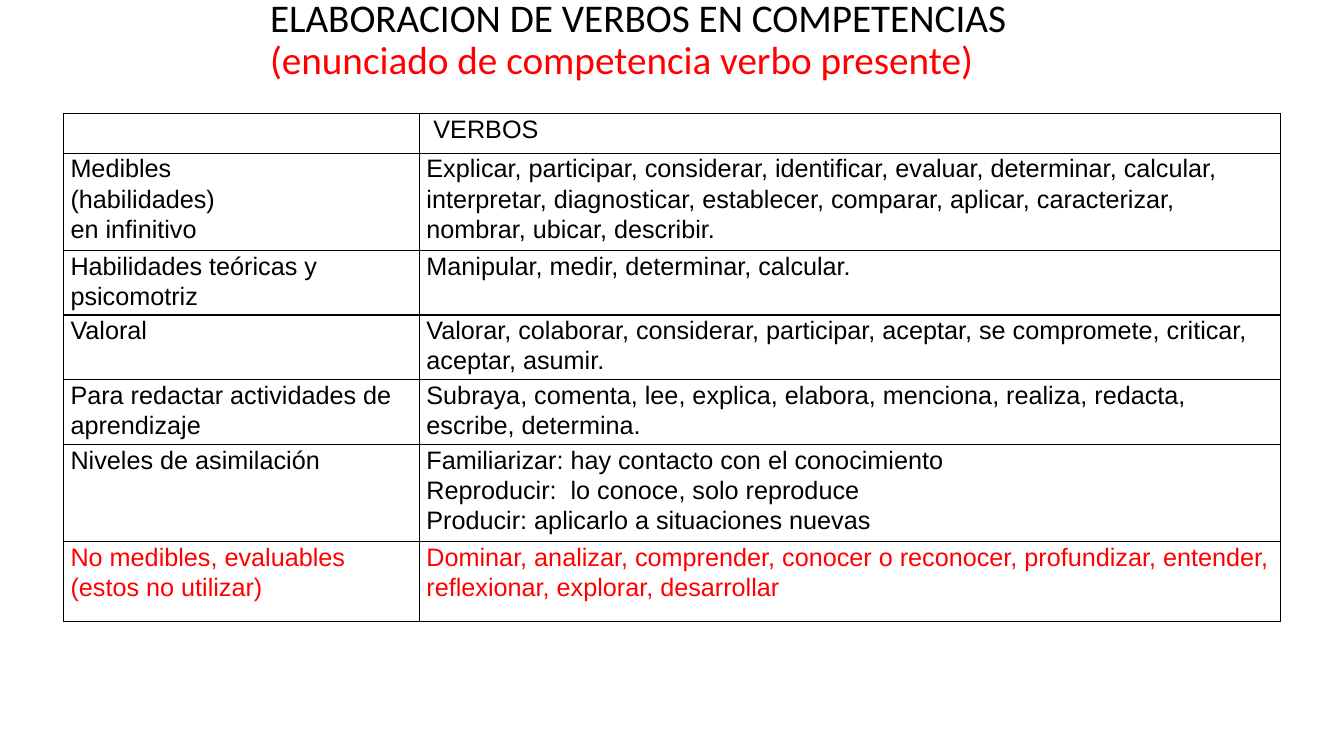
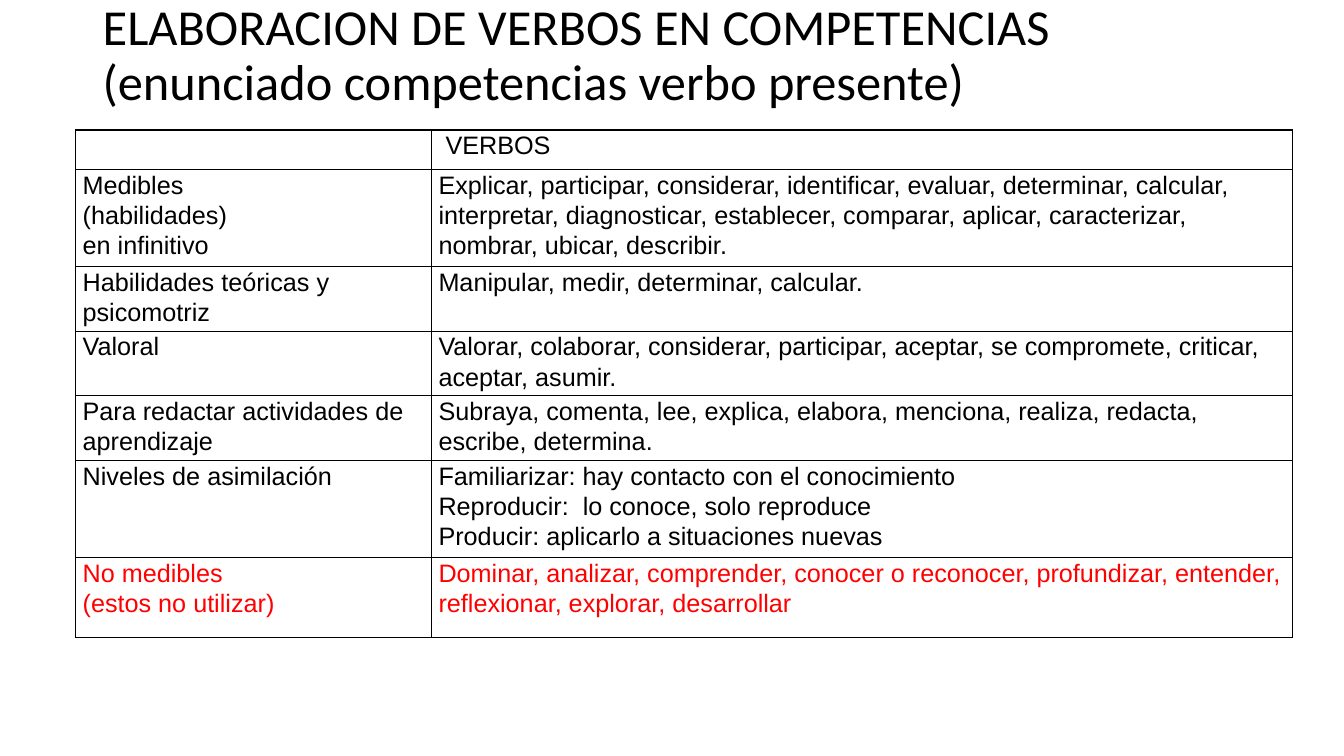
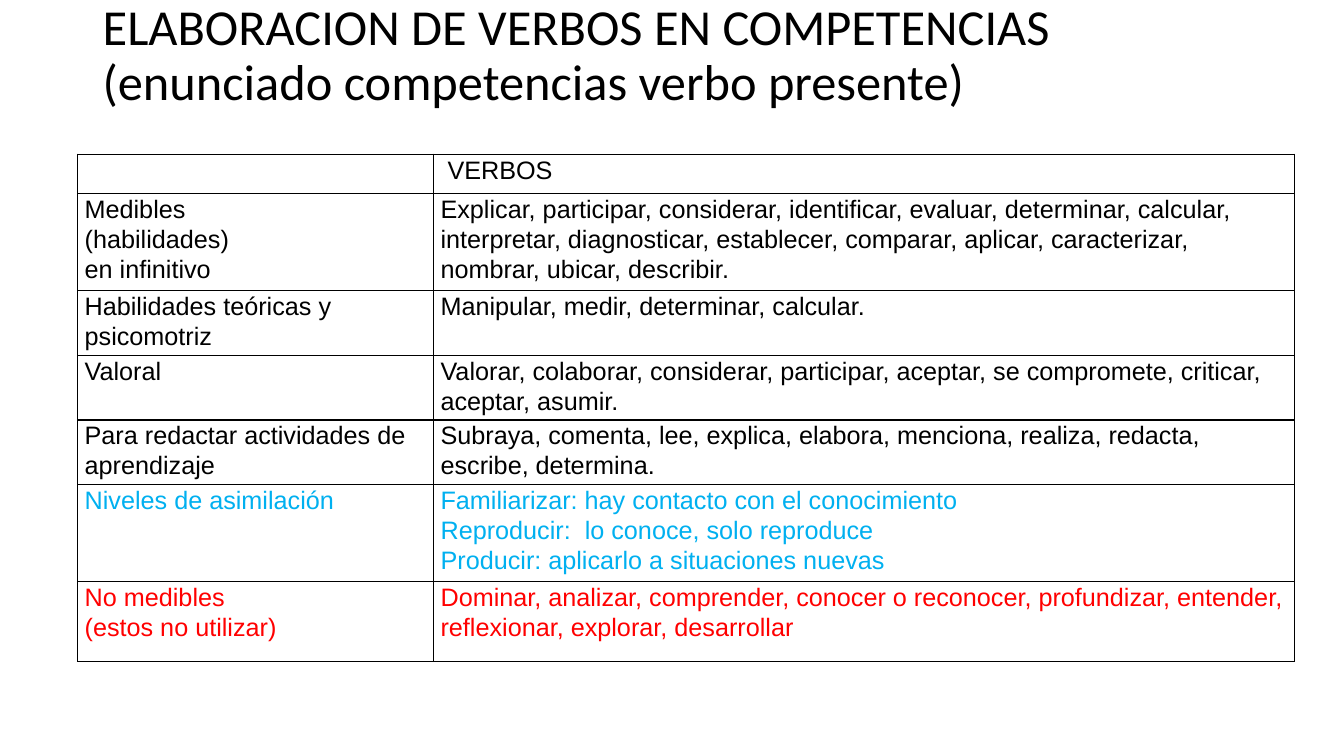
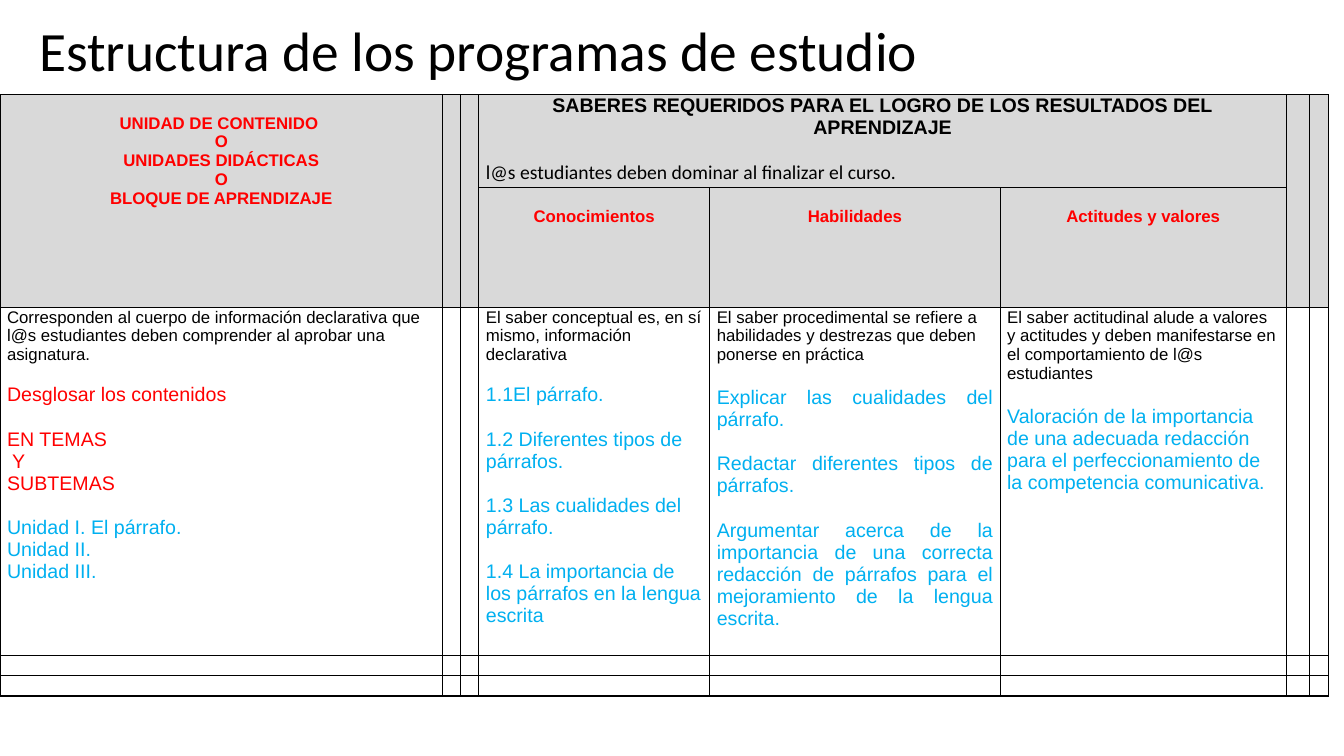
from dataclasses import dataclass
from itertools import accumulate
from typing import Optional, Sequence

from lxml import etree
from pptx import Presentation
from pptx import util as u
from pptx.dml.color import RGBColor
from pptx.enum import text as t
from pptx.oxml import ns

COLORS = {"black": "000000", "red": "FF0000", "blue": "00B0F0", "header": "D9D9D9"}
TITLE_FONT, BODY_FONT = "Calibri", "Arial"
SLIDE_WIDTH, SLIDE_HEIGHT = 13.33, 7.5
CELL_INSET = 0.07
BORDER_POINTS = 1
CENTER, JUSTIFY = t.PP_ALIGN.CENTER, t.PP_ALIGN.JUSTIFY


@dataclass(frozen=True)
class Line:
    """One paragraph of a table cell; gap is the space before it in points."""
    words: str = ""
    size: float = 12
    color: str = "black"
    bold: bool = False
    align: Optional[t.PP_ALIGN] = None
    gap: float = 0
    spacing: float = 1.0
    font: str = BODY_FONT


@dataclass(frozen=True)
class Entry:
    """A table cell's content, its place and the cells it covers."""
    row: int
    col: int
    lines: Sequence[Line] = ()
    fill: Optional[str] = None
    row_span: int = 1
    col_span: int = 1
    top_inset: float = 0


@dataclass(frozen=True)
class Title:
    lines: Sequence[tuple[str, str]]
    size: float
    box: tuple[float, float, float, float]


@dataclass(frozen=True)
class VerbSlide:
    title: Title
    left: float
    top: float
    unmeasurable: str
    levels_color: str = "black"


def rgb(name: str) -> RGBColor:
    return RGBColor.from_string(COLORS[name])


def set_font(font, face: str, size: float, color: str, bold: bool = False) -> None:
    font.name, font.size, font.bold = face, u.Pt(size), bold
    font.color.rgb = rgb(color)


def add_title(slide, title: Title) -> None:
    frame = slide.shapes.add_textbox(*map(u.Inches, title.box)).text_frame
    frame.word_wrap = True
    frame.vertical_anchor = t.MSO_ANCHOR.MIDDLE
    heading = frame.paragraphs[0]
    heading.line_spacing = 0.9
    set_font(heading.font, TITLE_FONT, title.size, title.lines[0][1])
    for index, (words, color) in enumerate(title.lines):
        if index:
            heading.add_line_break()
        run = heading.add_run()
        run.text = words
        run.font.color.rgb = rgb(color)


def add_borders(cell) -> None:
    properties = cell._tc.get_or_add_tcPr()
    for index, side in enumerate(("lnL", "lnR", "lnT", "lnB")):
        border = etree.Element(ns.qn(f"a:{side}"), w=str(u.Pt(BORDER_POINTS)))
        solid = etree.SubElement(border, ns.qn("a:solidFill"))
        etree.SubElement(solid, ns.qn("a:srgbClr"), val=COLORS["black"])
        properties.insert(index, border)


def write_lines(cell, lines: Sequence[Line]) -> None:
    frame = cell.text_frame
    for index, line in enumerate(lines):
        paragraph = frame.add_paragraph() if index else frame.paragraphs[0]
        paragraph.text = line.words
        paragraph.alignment = line.align
        paragraph.line_spacing = line.spacing
        paragraph.space_before = u.Pt(line.gap)
        set_font(paragraph.font, line.font, line.size, line.color, line.bold)


def add_grid(slide, left: float, top: float, columns: Sequence[float],
             rows: Sequence[float], entries: Sequence[Entry]) -> None:
    """Draw a bordered table; cells without an entry stay empty."""
    width, height = list(accumulate(columns))[-1], list(accumulate(rows))[-1]
    table = slide.shapes.add_table(len(rows), len(columns), *map(
        u.Inches, (left, top, width, height))).table
    table.first_row = table.horz_banding = False
    for column, size in zip(table.columns, columns):
        column.width = u.Inches(size)
    for row, size in zip(table.rows, rows):
        row.height = u.Inches(size)
    for cell in table.iter_cells():
        cell.margin_left = cell.margin_right = u.Inches(CELL_INSET)
        cell.margin_top = cell.margin_bottom = 0
        cell.fill.background()
        add_borders(cell)
        write_lines(cell, [Line()])
    for entry in entries:
        cell = table.cell(entry.row, entry.col)
        if entry.row_span > 1 or entry.col_span > 1:
            cell.merge(table.cell(entry.row + entry.row_span - 1,
                                  entry.col + entry.col_span - 1))
        cell.margin_top = u.Inches(entry.top_inset)
        if entry.fill:
            cell.fill.solid()
            cell.fill.fore_color.rgb = rgb(entry.fill)
        write_lines(cell, entry.lines)


VERB_COLUMNS = (3.53, 8.54)
VERB_ROWS = (0.39, 0.89, 0.59, 0.59, 0.59, 0.89, 0.79)
VERBS = (
    ("", " VERBOS"),
    ("Medibles\n(habilidades)\nen infinitivo",
     "Explicar, participar, considerar, identificar, evaluar, determinar, calcular, "
     "interpretar, diagnosticar, establecer, comparar, aplicar, caracterizar, "
     "nombrar, ubicar, describir."),
    ("Habilidades teóricas y psicomotriz", "Manipular, medir, determinar, calcular."),
    ("Valoral", "Valorar, colaborar, considerar, participar, aceptar, se compromete, "
     "criticar, aceptar, asumir."),
    ("Para redactar actividades de aprendizaje",
     "Subraya, comenta, lee, explica, elabora, menciona, realiza, redacta, escribe, "
     "determina."),
)
LEVELS = ("Niveles de asimilación",
          "Familiarizar: hay contacto con el conocimiento\n"
          "Reproducir:  lo conoce, solo reproduce\n"
          "Producir: aplicarlo a situaciones nuevas")
AVOIDED_VERBS = ("Dominar, analizar, comprender, conocer o reconocer, profundizar, "
                 "entender, reflexionar, explorar, desarrollar")

VERB_HEADING = "ELABORACION DE VERBOS EN COMPETENCIAS"
PLAIN_TITLE = Title(((VERB_HEADING, "black"),
                     ("(enunciado competencias verbo presente)", "black")),
                    36, (0.92, 0.17, 11.5, 0.78))
RED_TITLE = Title(((VERB_HEADING, "black"),
                   ("(enunciado de competencia verbo presente)", "red")),
                  28, (2.58, 0, 9.84, 0.81))
VERB_SLIDES = (
    VerbSlide(RED_TITLE, 0.63, 1.13, "No medibles, evaluables"),
    VerbSlide(PLAIN_TITLE, 0.75, 1.29, "No medibles"),
    VerbSlide(PLAIN_TITLE, 0.77, 1.53, "No medibles", "blue"),
)


def add_verb_slide(slide, content: VerbSlide) -> None:
    add_title(slide, content.title)
    avoided = (f"{content.unmeasurable}\n(estos no utilizar)", AVOIDED_VERBS)
    colored_rows = [(pair, "black") for pair in VERBS]
    colored_rows += [(LEVELS, content.levels_color), (avoided, "red")]
    entries = [
        Entry(row, col, [Line(words, 18, color, spacing=1.07)
                         for words in cell_words.split("\n")])
        for row, (pair, color) in enumerate(colored_rows)
        for col, cell_words in enumerate(pair)
    ]
    add_grid(slide, content.left, content.top, VERB_COLUMNS, VERB_ROWS, entries)


PROGRAM_TITLE = Title((("Estructura de los programas de estudio", "black"),),
                      39.6, (0.29, 0.13, 12.88, 0.8))
PROGRAM_COLUMNS = (4.39, 0.18, 0.18, 2.29, 2.88, 2.84, 0.23, 0.19)
PROGRAM_ROWS = (0.89, 1.12, 3.45, 0.2, 0.2)
NARROW_COLUMNS = (1, 2, 6, 7)
HEADER_INSET = 0.19
SMALL_GAP, LARGE_GAP = 14, 16
UNIT_HEADER = ("UNIDAD DE CONTENIDO ", "O", "UNIDADES DIDÁCTICAS", "O",
               "BLOQUE DE APRENDIZAJE")
KNOWLEDGE_HEADERS = ("Conocimientos", "Habilidades", "Actitudes y valores")


def header_lines(*words: str) -> list[Line]:
    return [Line(line, color="red", bold=True, align=CENTER) for line in words]


def example(words: str, gap: float = LARGE_GAP, color: str = "blue",
            align: Optional[t.PP_ALIGN] = None) -> Line:
    return Line(words, 14, color, gap=gap, align=align)


PROGRAM_ENTRIES = [
    Entry(0, 0, header_lines(*UNIT_HEADER), "header", row_span=2, top_inset=HEADER_INSET),
    *(Entry(0, col, (), "header", row_span=2) for col in NARROW_COLUMNS),
    Entry(0, 3, [
        Line("SABERES REQUERIDOS PARA EL LOGRO DE LOS RESULTADOS DEL APRENDIZAJE",
             14, bold=True, align=CENTER),
        Line("l@s estudiantes deben dominar al finalizar el curso.", 14,
             align=JUSTIFY, gap=LARGE_GAP, font=TITLE_FONT),
    ], "header", col_span=3),
    *(Entry(1, col, header_lines(words), "header", top_inset=HEADER_INSET)
      for col, words in enumerate(KNOWLEDGE_HEADERS, start=3)),
    Entry(2, 0, [
        Line("Corresponden al cuerpo de información declarativa que l@s estudiantes "
             "deben comprender al aprobar una asignatura."),
        example("Desglosar los contenidos", SMALL_GAP, "red"),
        example("EN TEMAS", color="red"),
        example(" Y", 0, "red"),
        example("SUBTEMAS", 0, "red"),
        example("Unidad I. El párrafo."),
        example("Unidad II.", 0),
        example("Unidad III.", 0),
    ]),
    Entry(2, 3, [
        Line("El saber conceptual es, en sí mismo, información declarativa"),
        example("1.1El párrafo.", SMALL_GAP),
        example("1.2 Diferentes tipos de párrafos."),
        example("1.3 Las cualidades del párrafo."),
        example("1.4 La importancia de los párrafos en la lengua escrita"),
    ]),
    Entry(2, 4, [
        Line("El saber procedimental se refiere a habilidades y destrezas que deben "
             "ponerse en práctica"),
        example("Explicar las cualidades del párrafo. ", align=JUSTIFY),
        example("Redactar diferentes tipos de párrafos.", align=JUSTIFY),
        example("Argumentar acerca de la importancia de una correcta redacción de "
                "párrafos para el mejoramiento de la lengua escrita.", align=JUSTIFY),
    ]),
    Entry(2, 5, [
        Line("El saber actitudinal alude a valores y actitudes y deben manifestarse "
             "en el comportamiento de l@s estudiantes"),
        example("Valoración de la importancia de una adecuada redacción para el "
                "perfeccionamiento de la competencia comunicativa."),
    ]),
]


def main() -> None:
    deck = Presentation()
    deck.slide_width, deck.slide_height = u.Inches(SLIDE_WIDTH), u.Inches(SLIDE_HEIGHT)
    blank = deck.slide_layouts[6]
    for content in VERB_SLIDES:
        add_verb_slide(deck.slides.add_slide(blank), content)
    program = deck.slides.add_slide(blank)
    add_title(program, PROGRAM_TITLE)
    add_grid(program, 0, 0.94, PROGRAM_COLUMNS, PROGRAM_ROWS, PROGRAM_ENTRIES)
    deck.save("out.pptx")


if __name__ == "__main__":
    main()
